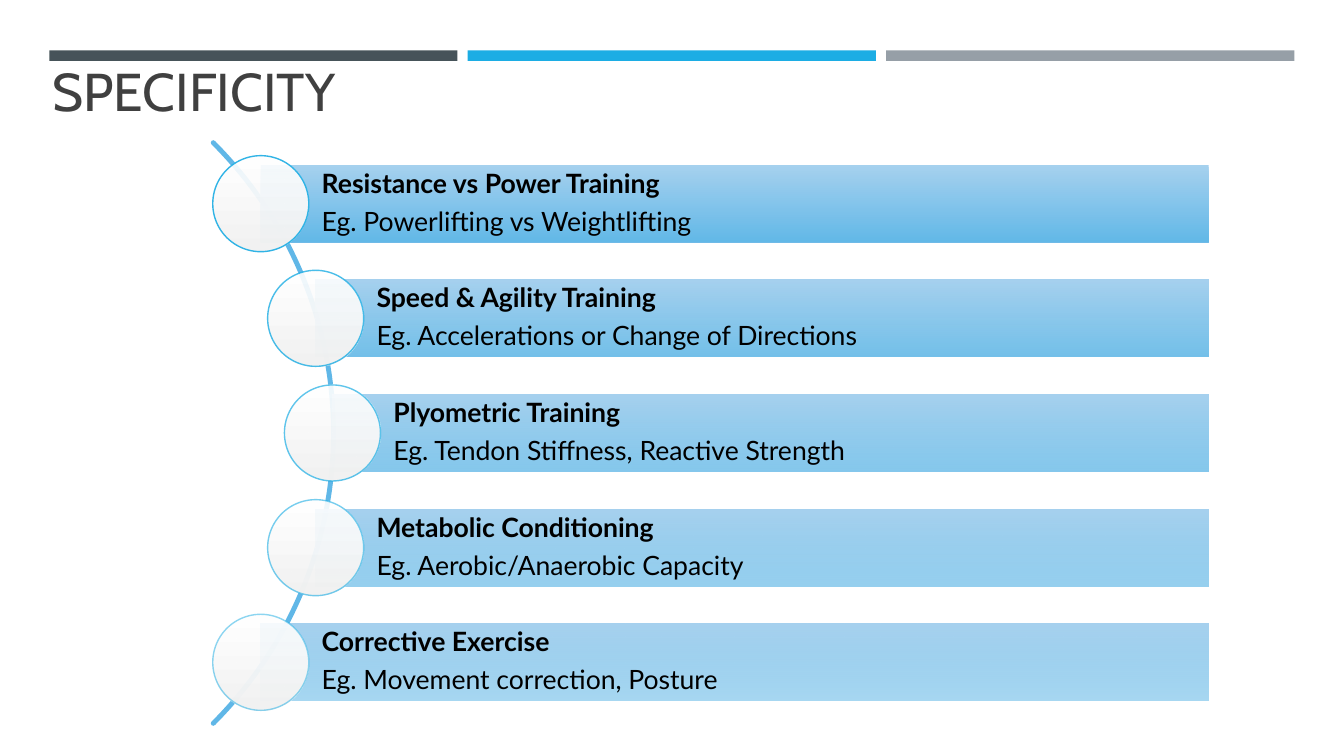
import math
from dataclasses import dataclass

import lxml.etree
import pptx
import pptx.dml.color
import pptx.enum.shapes
import pptx.enum.text
import pptx.oxml.ns
import pptx.util

Pt = pptx.util.Pt
Kind = pptx.enum.shapes.MSO_SHAPE
Anchor = pptx.enum.text.MSO_ANCHOR
qn = pptx.oxml.ns.qn


@dataclass(frozen=True)
class Theme:
    bands: tuple = ("465359", "1CADE4", "969FA7")
    title: str = "404040"
    text: str = "000000"
    arc: str = "60B7E7"
    ring: str = "1CADE4"
    bar: tuple = ("9CCCED", "52B1E5")
    disc: tuple = ("FFFFFF", "F2F2F2")
    head: str = "Cabin"
    body: str = "Lato"
    big: float = 38
    small: float = 19


THEME = Theme()
ITEMS = (
    ("Resistance vs Power Training", "Eg. Powerlifting vs Weightlifting"),
    ("Speed & Agility Training", "Eg. Accelerations or Change of Directions"),
    ("Plyometric Training", "Eg. Tendon Stiffness, Reactive Strength"),
    ("Metabolic Conditioning", "Eg. Aerobic/Anaerobic Capacity"),
    ("Corrective Exercise", "Eg. Movement correction, Posture"),
)
LEFTS = (186.3, 225.5, 237.5, 225.5, 186.3)
RIGHT, MIDDLE, STEP = 863.3, 309.3, 81.9
BAR, DISC = 55, 68.6


def rgb(code):
    return pptx.dml.color.RGBColor.from_string(code)


def add_shape(slide, kind, x, y, w, h):
    shape = slide.shapes.add_shape(kind, Pt(x), Pt(y), Pt(w), Pt(h))
    shape.shadow.inherit = False
    shape.line.fill.background()
    return shape


def fade(shape, colors, alphas):
    """Fill from top to bottom, with an opacity in percent for each stop."""
    shape.fill.gradient()
    shape.fill.gradient_angle = 270
    for stop, color in zip(shape.fill.gradient_stops, colors):
        stop.color.rgb = rgb(color)
    set_alpha(shape, alphas)


def set_alpha(shape, alphas):
    """Set the opacity of the shape's colours, in file order."""
    for color, alpha in zip(shape._element.spPr.iter(qn("a:srgbClr")), alphas):
        for old in color.findall(qn("a:alpha")):
            color.remove(old)
        lxml.etree.SubElement(color, qn("a:alpha"), val=str(alpha * 1000))


def add_run(para, text, font, size, color, bold=False):
    run = para.add_run()
    run.text = text
    run.font.name = font
    run.font.size = Pt(size)
    run.font.bold = bold
    run.font.color.rgb = rgb(color)


def add_bands(slide):
    for i, color in enumerate(THEME.bands):
        band = add_shape(slide, Kind.RECTANGLE, 35.2 + 298.9 * i, 36, 291.6, 7.6)
        band.fill.solid()
        band.fill.fore_color.rgb = rgb(color)


def add_title(slide, text):
    box = slide.shapes.add_textbox(Pt(30.2), Pt(35.3), Pt(579.6), Pt(55.4))
    frame = box.text_frame
    frame.word_wrap = True
    frame.vertical_anchor = Anchor.BOTTOM
    add_run(frame.paragraphs[0], text, THEME.head, THEME.big, THEME.title)


def add_arc(slide):
    """Draw a quarter of a circle whose centre lies left of the slide."""
    center, radius = -55.1, 293.3
    turns = [math.radians(a) for a in range(-45, 46)]
    points = [(Pt(center + radius * math.cos(t)),
               Pt(MIDDLE + radius * math.sin(t))) for t in turns]
    form = slide.shapes.build_freeform(*points[0])
    form.add_line_segments(points[1:], close=False)
    arc = form.convert_to_shape()
    arc.shadow.inherit = False
    arc.fill.background()
    arc.line.color.rgb = rgb(THEME.arc)
    arc.line.width = Pt(3.5)
    arc.line._get_or_add_ln().set("cap", "rnd")


def add_bar(slide, left, y, lines, alpha):
    bar = add_shape(slide, Kind.RECTANGLE, left, y - BAR / 2, RIGHT - left, BAR)
    fade(bar, THEME.bar, (90, alpha))
    frame = bar.text_frame
    frame.word_wrap = True
    frame.vertical_anchor = Anchor.MIDDLE
    frame.margin_left = Pt(43.5)
    frame.margin_top = frame.margin_right = frame.margin_bottom = Pt(3.6)
    for i, text in enumerate(lines):
        para = frame.add_paragraph() if i else frame.paragraphs[0]
        para.alignment = pptx.enum.text.PP_ALIGN.LEFT
        para.line_spacing = 0.9
        para.space_after = Pt(6.65)
        add_run(para, text, THEME.body, THEME.small, THEME.text, bold=i == 0)


def add_disc(slide, x, y, alpha):
    disc = add_shape(slide, Kind.OVAL, x - DISC / 2, y - DISC / 2, DISC, DISC)
    disc.line.color.rgb = rgb(THEME.ring)
    disc.line.width = Pt(1)
    fade(disc, THEME.disc, (90, 100, alpha))


def main():
    deck = pptx.Presentation()
    deck.slide_width, deck.slide_height = Pt(960), Pt(540)
    slide = deck.slides.add_slide(deck.slide_layouts[6])
    add_bands(slide)
    add_title(slide, "SPECIFICITY")
    add_arc(slide)
    for i, (left, lines) in enumerate(zip(LEFTS, ITEMS)):
        y, alpha = MIDDLE + STEP * (i - 2), 90 - 10 * i
        add_bar(slide, left, y, lines, alpha)
        add_disc(slide, left, y, alpha)
    deck.save("out.pptx")


if __name__ == "__main__":
    main()
